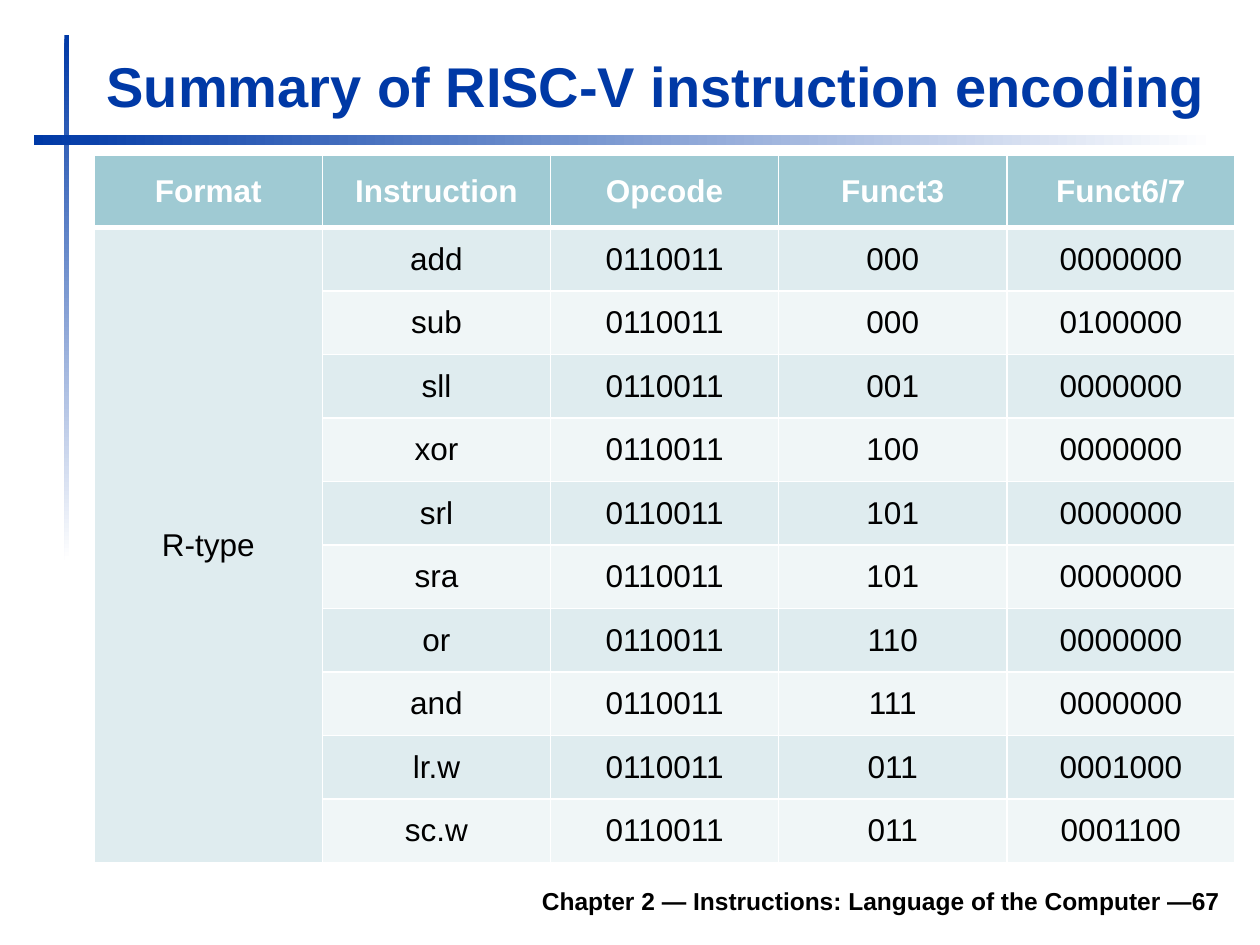
from lxml import etree
from pptx import Presentation
from pptx.dml.color import RGBColor
from pptx.enum.shapes import MSO_SHAPE
from pptx.enum.text import MSO_ANCHOR, PP_ALIGN
from pptx.oxml.ns import qn
from pptx.util import Cm, Pt

RECT = MSO_SHAPE.RECTANGLE
MIDDLE, BOTTOM = MSO_ANCHOR.MIDDLE, MSO_ANCHOR.BOTTOM
LEFT, CENTER, RIGHT = PP_ALIGN.LEFT, PP_ALIGN.CENTER, PP_ALIGN.RIGHT

BLUE = RGBColor(0x00, 0x39, 0xA6)
WHITE = RGBColor(0xFF, 0xFF, 0xFF)
BLACK = RGBColor(0x00, 0x00, 0x00)
TEAL = RGBColor(0x9F, 0xCA, 0xD3)
BANDS = [RGBColor(0xDF, 0xEC, 0xEF), RGBColor(0xF0, 0xF6, 0xF7)]

# Content
TITLE = "Summary of RISC-V instruction encoding"
FOOTER = "Chapter 2 — Instructions: Language of the Computer —67"
HEADS = ["Format", "Instruction", "Opcode", "Funct3", "Funct6/7"]
FORMAT, OPCODE = "R-type", "0110011"
CODES = [
    ("add", "000", "0000000"),
    ("sub", "000", "0100000"),
    ("sll", "001", "0000000"),
    ("xor", "100", "0000000"),
    ("srl", "101", "0000000"),
    ("sra", "101", "0000000"),
    ("or", "110", "0000000"),
    ("and", "111", "0000000"),
    ("lr.w", "011", "0001000"),
    ("sc.w", "011", "0001100"),
]

# Text formats
HEADING = dict(name="Arial", size=Pt(32), bold=True, color=BLUE)
FOOT = dict(name="Arial", size=Pt(14), bold=True, color=BLACK)
HEAD = dict(name="Arial", size=Pt(18), bold=True, color=WHITE)
BODY = dict(HEAD, bold=False, color=BLACK)

# Places in cm: left, top, width, height; then gradient angle
BARS = [((1.3, 0.71, 0.1, 10.59), 270), ((0.69, 2.72, 23.8, 0.2), 0)]
TEXTS = [
    (TITLE, (1.9, 0.89, 22.94, 1.63), HEADING, LEFT, BOTTOM),
    (FOOTER, (7.32, 17.65, 17.53, 1.02), FOOT, RIGHT, MIDDLE),
]
GRID = (1.9, 3.12, 23, 14.27)
HEAD_H, ROW_H = 1.47, 1.28


def write(frame, text, style, align):
    para = frame.paragraphs[0]
    para.alignment = align
    run = para.add_run()
    run.text = text
    for key, value in style.items():
        if key == "color":
            run.font.color.rgb = value
        else:
            setattr(run.font, key, value)


def edge(cell, side, width):
    line = etree.SubElement(cell._tc.get_or_add_tcPr(), qn("a:ln" + side), w=str(Pt(width)))
    fill = etree.SubElement(line, qn("a:solidFill"))
    etree.SubElement(fill, qn("a:srgbClr"), val=str(WHITE))


def paint(cell, row):
    for side in "LRTB":
        thick = (row == 0 and side == "B") or (row == 1 and side == "T")
        edge(cell, side, 3 if thick else 1)
    cell.fill.solid()
    cell.fill.fore_color.rgb = BANDS[(row - 1) % 2] if row else TEAL
    cell.vertical_anchor = MIDDLE


deck = Presentation()
deck.slide_width, deck.slide_height = Cm(25.4), Cm(19.05)
slide = deck.slides.add_slide(deck.slide_layouts[6])

# Fading bars
for place, angle in BARS:
    bar = slide.shapes.add_shape(RECT, *map(Cm, place))
    bar.shadow.inherit = False
    bar.line.fill.background()
    bar.fill.gradient()
    bar.fill.gradient_angle = angle
    for stop, color, spot in zip(bar.fill.gradient_stops, (BLUE, WHITE), (0, 1)):
        stop.color.rgb = color
        stop.position = spot

# Encoding table
rows = [HEADS] + [
    ["" if i else FORMAT, name, OPCODE, low, high]
    for i, (name, low, high) in enumerate(CODES)
]
table = slide.shapes.add_table(len(rows), len(HEADS), *map(Cm, GRID)).table
for col in table.columns:
    col.width = Cm(GRID[2] / len(HEADS))
for r, row in enumerate(rows):
    table.rows[r].height = Cm(ROW_H if r else HEAD_H)
    for c, text in enumerate(row):
        cell = table.cell(r, c)
        paint(cell, r)
        if text:
            write(cell.text_frame, text, BODY if r else HEAD, CENTER)
table.cell(1, 0).merge(table.cell(len(CODES), 0))

# Title and footer
for text, place, style, align, anchor in TEXTS:
    frame = slide.shapes.add_textbox(*map(Cm, place)).text_frame
    frame.word_wrap = True
    frame.vertical_anchor = anchor
    write(frame, text, style, align)

deck.save("out.pptx")
